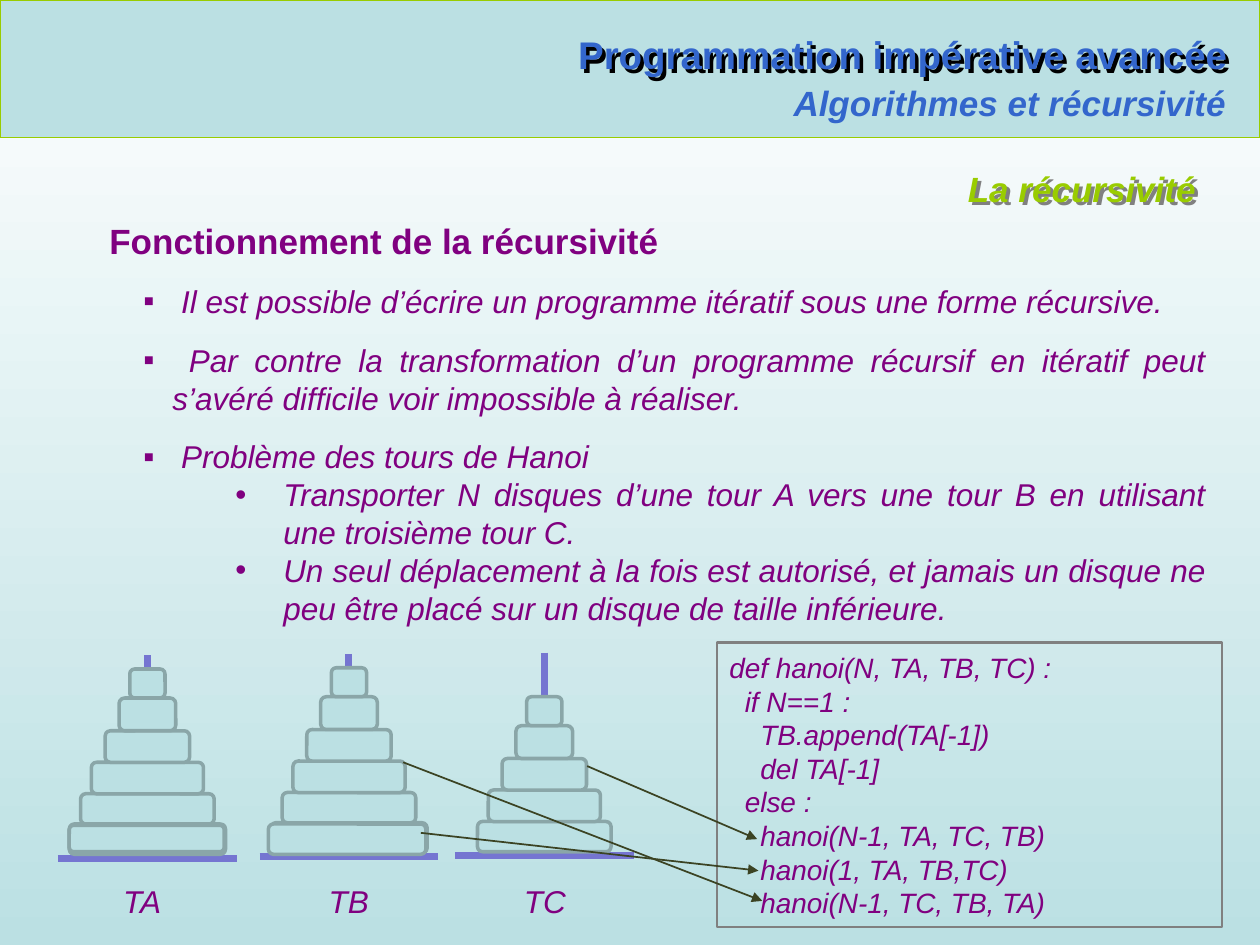
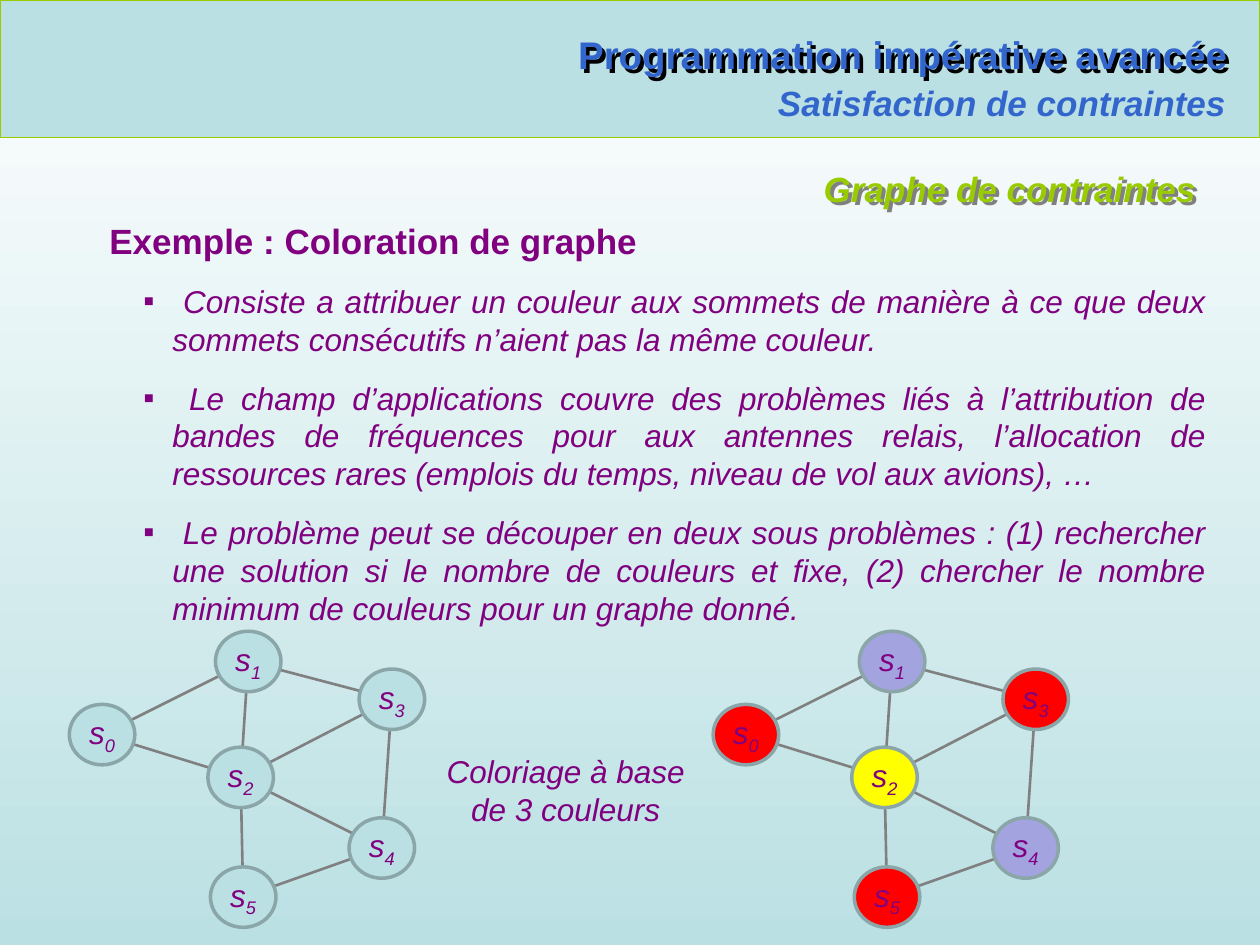
"""Build two course slides: the towers of Hanoi and graph colouring."""
import lxml.etree
import pptx
import pptx.dml.color
import pptx.enum.dml
import pptx.enum.shapes
import pptx.enum.text
import pptx.oxml.ns
import pptx.util

Inches = pptx.util.Inches
Pt = pptx.util.Pt
Align = pptx.enum.text.PP_ALIGN
Kind = pptx.enum.shapes.MSO_SHAPE
qn = pptx.oxml.ns.qn


class Theme:
    font = "Arial"
    white, pale, lime, blue = "FFFFFF", "BBE0E3", "99CC00", "3366CC"
    plum, gray, steel, pole = "800080", "808080", "8AA6A8", "7575D1"
    arrow, black = "3B4323", "000000"
    red, lilac, gold = "FF0000", "A3A3E0", "FFFF00"
    course = {"size": Pt(22), "bold": True}
    head = {"size": Pt(20), "bold": True}
    topic = {"size": Pt(20), "bold": True, "italic": True}
    text = {"size": Pt(18), "bold": False, "italic": True}
    code = {"size": Pt(16), "italic": True}


COURSE = "Programmation impérative avancée"

HANOI = {
    "part": "Algorithmes et récursivité",
    "topic": "La récursivité",
    "body": [
        ("head", "Fonctionnement de la récursivité", 12),
        ("item", " Il est possible d’écrire un programme itératif sous une forme récursive.", 12),
        ("item", " Par contre la transformation d’un programme récursif en itératif peut "
                 "s’avéré difficile voir impossible à réaliser.", 12),
        ("item", " Problème des tours de Hanoi", 0),
        ("sub", "Transporter N disques d’une tour A vers une tour B en utilisant "
                "une troisième tour C.", 0),
        ("sub", "Un seul déplacement à la fois est autorisé, et jamais un disque ne "
                "peu être placé sur un disque de taille inférieure.", 12),
    ],
}
GRAPH = {
    "part": "Satisfaction de contraintes",
    "topic": "Graphe de contraintes",
    "body": [
        ("head", "Exemple : Coloration de graphe", 12),
        ("item", " Consiste a attribuer un couleur aux sommets de manière à ce que deux "
                 "sommets consécutifs n’aient pas la même couleur.", 12),
        ("item", " Le champ d’applications couvre des problèmes liés à l’attribution de "
                 "bandes de fréquences pour aux antennes relais, l’allocation de "
                 "ressources rares (emplois du temps, niveau de vol aux avions), …", 12),
        ("item", " Le problème peut se découper en deux sous problèmes : (1) rechercher "
                 "une solution si le nombre de couleurs et fixe, (2) chercher le nombre "
                 "minimum de couleurs pour un graphe donné.", 12),
    ],
}
LEVELS = {"item": ("▪", 0.5, -0.23), "sub": ("•", 1.38, -0.38)}

CODE = [
    "def hanoi(N, TA, TB, TC) :",
    "  if N==1 :",
    "    TB.append(TA[-1])",
    "    del TA[-1]",
    "  else :",
    "    hanoi(N-1, TA, TC, TB)",
    "    hanoi(1, TA, TB,TC)",
    "    hanoi(N-1, TC, TB, TA)",
]
DISKS = [(1.24, 0.24), (1.06, 0.24), (0.89, 0.25), (0.67, 0.25), (0.45, 0.26), (0.28, 0.23)]
TOWERS = [("TA", 1.17, 6.81, 0, 0.88), ("TB", 2.77, 6.8, 0, 2.51), ("TC", 4.32, 6.79, 1, 4.06)]
RIMS = [(0.55, 6.55, 1.23, 0.21), (2.13, 6.54, 1.25, 0.24)]
ARROWS = [(4.66, 6.08, 6.01, 6.66), (3.34, 6.61, 6.02, 6.91), (3.2, 6.05, 6.05, 7.15)]

NODES = [(0.81, 5.83), (1.97, 5.25), (1.91, 6.17), (3.11, 5.55), (3.03, 6.73), (1.93, 7.12)]
EDGES = [(4, 5), (2, 5), (2, 4), (0, 2), (3, 4), (1, 3), (2, 3), (1, 2), (0, 1)]
PLAIN = [Theme.pale] * 6
TINTS = [Theme.red, Theme.lilac, Theme.gold, Theme.red, Theme.lilac, Theme.red]
SHIFT = 5.11
NOTE = ["Coloriage à base", "de 3 couleurs"]


def rgb(tint):
    return pptx.dml.color.RGBColor.from_string(tint)


def style(font, form, tint):
    for name, value in {"name": Theme.font, **form}.items():
        setattr(font, name, value)
    font.color.rgb = rgb(tint)


def fill(frame, lines, form, tint, align=Align.LEFT):
    for at, line in enumerate(lines):
        para = frame.paragraphs[0] if at == 0 else frame.add_paragraph()
        para.alignment = align
        run = para.add_run()
        run.text = line
        style(run.font, form, tint)


def label(slide, box, lines, form, tint, align=Align.LEFT, wrap=False):
    area = slide.shapes.add_textbox(*map(Inches, box))
    area.text_frame.word_wrap = wrap
    fill(area.text_frame, lines, form, tint, align)
    return area


def shade(area, tint):
    props = area._element.spPr
    list_ = lxml.etree.SubElement(props, qn("a:effectLst"))
    drop = lxml.etree.SubElement(list_, qn("a:outerShdw"), dist="35921", dir="2700000")
    lxml.etree.SubElement(drop, qn("a:srgbClr"), val=tint)


def block(slide, kind, box, tint, edge, width):
    shape = slide.shapes.add_shape(kind, *map(Inches, box))
    shape.shadow.inherit = False
    if tint:
        shape.fill.solid()
        shape.fill.fore_color.rgb = rgb(tint)
    else:
        shape.fill.background()
    shape.line.color.rgb = rgb(edge)
    shape.line.width = Pt(width)
    return shape


def link(slide, ends, tint, width, tip=False):
    line = slide.shapes.add_connector(
        pptx.enum.shapes.MSO_CONNECTOR.STRAIGHT, *map(Inches, ends))
    line.line.color.rgb = rgb(tint)
    line.line.width = Pt(width)
    if tip:
        lxml.etree.SubElement(line.line._get_or_add_ln(), qn("a:tailEnd"), type="triangle")
    lxml.etree.SubElement(line._element.spPr, qn("a:effectLst"))


def write(slide, body):
    frame = slide.shapes.add_textbox(*map(Inches, (0.77, 1.69, 8.9, 3.6))).text_frame
    frame.word_wrap = True
    for at, (role, words, gap) in enumerate(body):
        para = frame.paragraphs[0] if at == 0 else frame.add_paragraph()
        para.alignment = Align.JUSTIFY
        para.space_after = Pt(gap)
        if role in LEVELS:
            mark, left, hang = LEVELS[role]
            props = para._p.get_or_add_pPr()
            props.set("marL", str(Inches(left)))
            props.set("indent", str(Inches(hang)))
            lxml.etree.SubElement(props, qn("a:buFont"), typeface=Theme.font)
            lxml.etree.SubElement(props, qn("a:buChar"), char=mark)
        run = para.add_run()
        run.text = words
        style(run.font, Theme.head if role == "head" else Theme.text, Theme.plum)


def start(deck, data):
    slide = deck.slides.add_slide(deck.slide_layouts[6])
    back = slide.background.fill
    back.gradient()
    back.gradient_angle = 270
    for stop, tint, place in zip(back.gradient_stops, (Theme.white, Theme.pale), (0, 1)):
        stop.color.rgb = rgb(tint)
        stop.position = place
    return slide


def frame_up(slide, data):
    block(slide, Kind.RECTANGLE, (0, 0, 10, 1.09), Theme.pale, Theme.lime, 0.75)
    right = Align.RIGHT
    name = label(slide, (4.42, 0.2, 5.42, 0.47), [COURSE], Theme.course, Theme.blue, right)
    shade(name, Theme.black)
    label(slide, (6.05, 0.6, 3.78, 0.44), [data["part"]], Theme.topic, Theme.blue, right)
    link(slide, (0.34, 1.09, 9.76, 1.09), Theme.lime, 0.75)
    topic = label(slide, (5.39, 1.28, 4.2, 0.44), [data["topic"]],
                  Theme.topic, Theme.lime, right, True)
    shade(topic, Theme.gray)
    write(slide, data["body"])


def disk(slide, box):
    block(slide, Kind.ROUNDED_RECTANGLE, box, Theme.pale, Theme.steel, 2)


def tower(slide, name, mid, base, skip, left):
    link(slide, (mid, base - 1.61, mid, base), Theme.pole, 4)
    link(slide, (mid - 0.71, base, mid + 0.71, base), Theme.pole, 4)
    label(slide, (left, 6.95, 0.54, 0.4), [name], Theme.text, Theme.plum)
    top = base - 0.03
    for wide, high in DISKS[skip:]:
        top -= high
        disk(slide, (mid - wide / 2, top, wide, high))


def graph(slide, shift, tints):
    wide, high = 0.52, 0.48
    spots = [(x + shift, y) for x, y in NODES]
    for a, b in EDGES:
        link(slide, spots[a] + spots[b], Theme.gray, 1.5)
    for at, ((x, y), tint) in enumerate(zip(spots, tints)):
        box = (x - wide / 2, y - high / 2, wide, high)
        node = block(slide, Kind.OVAL, box, tint, Theme.steel, 2)
        frame = node.text_frame
        for side in ("left", "right", "top", "bottom"):
            setattr(frame, "margin_" + side, 0)
        frame.word_wrap = False
        frame.vertical_anchor = pptx.enum.text.MSO_ANCHOR.MIDDLE
        fill(frame, ["s"], Theme.text, Theme.plum, Align.CENTER)
        low = frame.paragraphs[0].add_run()
        low.text = str(at)
        style(low.font, Theme.text, Theme.plum)
        low._r.get_or_add_rPr().set("baseline", "-25000")


def main():
    deck = pptx.Presentation()
    deck.slide_width, deck.slide_height = Inches(10), Inches(7.5)

    slide = start(deck, HANOI)
    frame_up(slide, HANOI)
    panel = block(slide, Kind.RECTANGLE, (5.69, 5.1, 4.01, 2.26), None, Theme.gray, 1.25)
    panel.text_frame.word_wrap = True
    panel.text_frame.vertical_anchor = pptx.enum.text.MSO_ANCHOR.MIDDLE
    fill(panel.text_frame, CODE, Theme.code, Theme.plum)
    for item in TOWERS:
        tower(slide, *item)
    for box in RIMS:
        disk(slide, box)
    for ends in ARROWS:
        link(slide, ends, Theme.arrow, 1, True)

    slide = start(deck, GRAPH)
    frame_up(slide, GRAPH)
    graph(slide, 0, PLAIN)
    graph(slide, SHIFT, TINTS)
    label(slide, (3.44, 5.92, 2.1, 0.71), NOTE, Theme.text, Theme.plum, Align.CENTER)
    deck.save("out.pptx")


if __name__ == "__main__":
    main()
